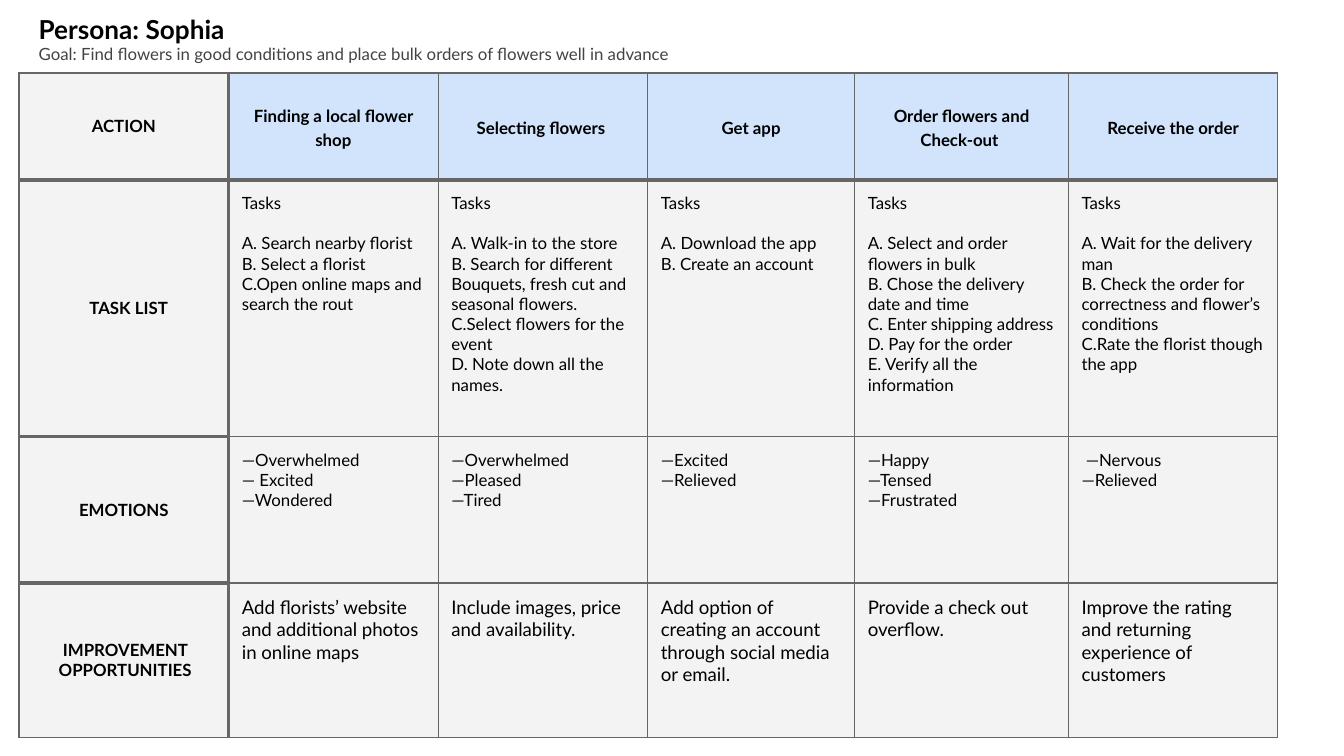
from dataclasses import dataclass

from lxml.etree import SubElement
from pptx import Presentation
from pptx.dml.color import RGBColor
from pptx.enum.text import MSO_ANCHOR as Anchor, PP_ALIGN as Align
from pptx.oxml.ns import qn
from pptx.util import Cm, Pt

FONT = "Lato"
BLACK = RGBColor(0x00, 0x00, 0x00)
DARK_GREY = RGBColor(0x43, 0x43, 0x43)
BORDER = RGBColor(0x66, 0x66, 0x66)
LIGHT_GREY = RGBColor(0xF3, 0xF3, 0xF3)
LIGHT_BLUE = RGBColor(0xD2, 0xE3, 0xFC)

THIN, THICK = Pt(0.75), Pt(2.25)
INSET = Cm(0.25)
TASKS_GAP = Pt(10.8)
COLUMN_WIDTHS = [3.96, 3.96, 3.96, 3.91, 4.04, 3.96]


@dataclass
class Heading:
    text: str
    top: float
    width: float
    height: float
    font: dict


@dataclass
class JourneyRow:
    label: str
    height: float
    cells: list[list[str]]
    size: float = 9
    label_inset: float = 0.25


HEADINGS = [
    Heading("Persona: Sophia", 0, 4.95, 1.12,
            {"size": Pt(14), "bold": True, "color": BLACK}),
    Heading("Goal: Find flowers in good conditions and place bulk orders of "
            "flowers well in advance", 0.64, 23.57, 0.76,
            {"size": Pt(9), "bold": False, "color": DARK_GREY}),
]

ROWS = [
    JourneyRow("ACTION", 2.02, [
        ["Finding a local flower shop"],
        ["Selecting flowers "],
        ["Get app"],
        ["Order flowers and Check-out "],
        ["Receive the order"],
    ]),
    JourneyRow("TASK LIST", 4.85, [
        ["Tasks", "A. Search nearby florist", "B. Select a florist",
         "C.Open online maps and search the rout"],
        ["Tasks", "A. Walk-in to the store",
         "B. Search for different Bouquets, fresh cut and seasonal flowers.",
         "C.Select flowers for the event", "D. Note down all the names."],
        ["Tasks", "A. Download the app", "B. Create an account"],
        ["Tasks", "A. Select and order flowers in bulk",
         "B. Chose the delivery date and time", "C. Enter shipping address",
         "D. Pay for the order", "E. Verify all the information"],
        ["Tasks", "A. Wait for the delivery man",
         "B. Check the order for correctness and flower’s conditions",
         "C.Rate the florist though the app"],
    ], label_inset=0.43),
    JourneyRow("EMOTIONS", 2.77, [
        ["—Overwhelmed", "— Excited", "—Wondered"],
        ["—Overwhelmed", "—Pleased", "—Tired"],
        ["—Excited", "—Relieved"],
        ["—Happy", "—Tensed", "—Frustrated"],
        [" —Nervous", "—Relieved"],
    ]),
    JourneyRow("IMPROVEMENT OPPORTUNITIES", 2.92, [
        ["Add florists’ website and additional photos in online maps"],
        ["Include images, price and availability."],
        ["Add option of creating an account through social media or email."],
        ["Provide a check out overflow."],
        ["Improve the rating and returning experience of customers"],
    ], size=10, label_inset=0.3),
]


def set_attributes(target, values: dict) -> None:
    for name, value in values.items():
        setattr(target, name, value)


def add_run(paragraph, text: str, font: dict) -> None:
    run = paragraph.add_run()
    run.text = text
    values = {"name": FONT, **font}
    run.font.color.rgb = values.pop("color")
    set_attributes(run.font, values)


def add_heading(slide, heading: Heading) -> None:
    shape = slide.shapes.add_textbox(
        Cm(0.48), Cm(heading.top), Cm(heading.width), Cm(heading.height))
    frame = shape.text_frame
    set_attributes(frame, {
        "word_wrap": True, "margin_left": INSET, "margin_right": INSET,
        "margin_top": INSET, "margin_bottom": INSET})
    add_run(frame.paragraphs[0], heading.text, heading.font)


def set_borders(cell, widths: dict) -> None:
    properties = cell._tc.get_or_add_tcPr()
    for side in ("lnL", "lnR", "lnT", "lnB"):
        line = SubElement(properties, qn(f"a:{side}"), w=str(int(widths[side])))
        fill = SubElement(line, qn("a:solidFill"))
        SubElement(fill, qn("a:srgbClr"), val=str(BORDER))


def border_widths(row: int, column: int) -> dict:
    """Thick lines close the header row and the label column."""
    def below(index: int):
        inner = 0 <= index < len(ROWS) - 1
        return THICK if inner and (index == 0 or column == 0) else THIN

    return {
        "lnL": THICK if column == 1 else THIN,
        "lnR": THICK if column == 0 else THIN,
        "lnT": below(row - 1),
        "lnB": below(row),
    }


def fill_cell(cell, texts: list[str], row: int, column: int) -> None:
    is_label, is_header = column == 0, row == 0
    is_action = is_header and not is_label
    centred = is_label or is_header
    set_borders(cell, border_widths(row, column))
    cell.fill.solid()
    cell.fill.fore_color.rgb = LIGHT_BLUE if is_action else LIGHT_GREY
    set_attributes(cell, {
        "margin_left": Cm(ROWS[row].label_inset) if is_label else INSET,
        "margin_right": INSET, "margin_top": INSET, "margin_bottom": INSET,
        "vertical_anchor": Anchor.MIDDLE if centred else Anchor.TOP})
    size = 9 if is_label else ROWS[row].size
    frame = cell.text_frame
    for index, text in enumerate(texts):
        paragraph = frame.add_paragraph() if index else frame.paragraphs[0]
        paragraph.alignment = Align.CENTER if centred else Align.LEFT
        if is_action:
            paragraph.line_spacing = 1.15
        if text == "Tasks":
            paragraph.space_after = TASKS_GAP
        add_run(paragraph, text,
                {"size": Pt(size), "bold": centred, "color": BLACK})


def add_journey_table(slide) -> None:
    height = sum(row.height for row in ROWS)
    table = slide.shapes.add_table(
        len(ROWS), len(COLUMN_WIDTHS), Cm(0.36), Cm(1.38),
        Cm(sum(COLUMN_WIDTHS)), Cm(height)).table
    set_attributes(table, {"first_row": False, "horz_banding": False})
    for column, width in zip(table.columns, COLUMN_WIDTHS):
        column.width = Cm(width)
    for row_index, row in enumerate(ROWS):
        table.rows[row_index].height = Cm(row.height)
        for column_index, texts in enumerate([[row.label], *row.cells]):
            fill_cell(table.cell(row_index, column_index), texts,
                      row_index, column_index)


def main() -> None:
    presentation = Presentation()
    set_attributes(presentation,
                   {"slide_width": Cm(25.4), "slide_height": Cm(14.29)})
    slide = presentation.slides.add_slide(presentation.slide_layouts[6])
    for heading in HEADINGS:
        add_heading(slide, heading)
    add_journey_table(slide)
    presentation.save("out.pptx")


if __name__ == "__main__":
    main()
